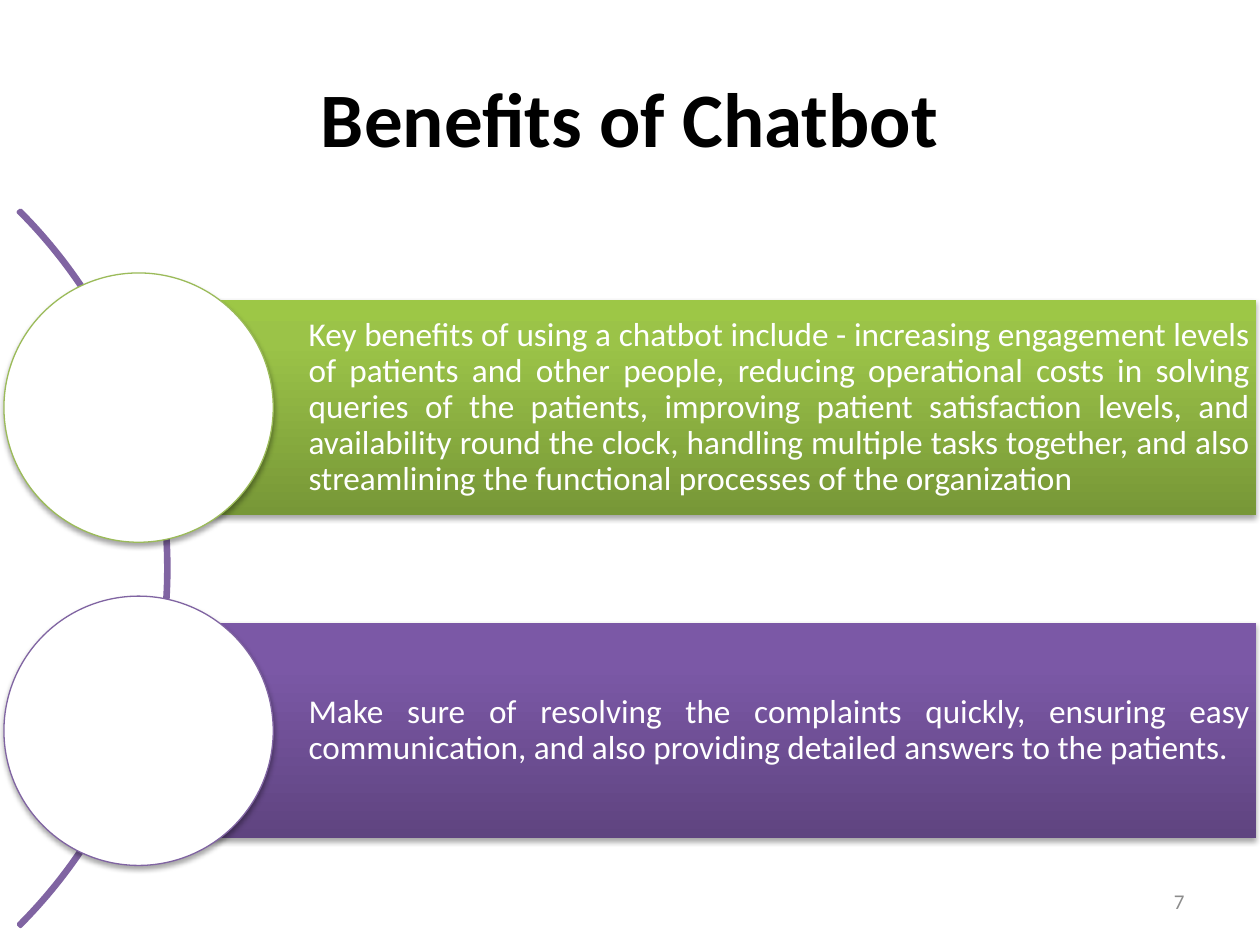
import copy
from dataclasses import dataclass

import pptx
import pptx.dml.color
import pptx.enum.shapes
import pptx.enum.text
import pptx.oxml
import pptx.oxml.ns
import pptx.util

RGBColor = pptx.dml.color.RGBColor
MSO_SHAPE = pptx.enum.shapes.MSO_SHAPE
PP_ALIGN = pptx.enum.text.PP_ALIGN
MSO_ANCHOR = pptx.enum.text.MSO_ANCHOR
Pt = pptx.util.Pt

BLACK = RGBColor(0x00, 0x00, 0x00)
WHITE = RGBColor(0xFF, 0xFF, 0xFF)
GREY = RGBColor(0x8C, 0x8C, 0x8C)
GREEN = RGBColor(0x9B, 0xBB, 0x59)
PURPLE = RGBColor(0x80, 0x64, 0xA2)
GREEN_SHADES = (
    RGBColor(0x77, 0x97, 0x37),
    RGBColor(0x9B, 0xC3, 0x48),
    RGBColor(0x9D, 0xC7, 0x46),
)
PURPLE_SHADES = (
    RGBColor(0x5F, 0x44, 0x80),
    RGBColor(0x7B, 0x58, 0xA6),
    RGBColor(0x7C, 0x57, 0xA8),
)
SHADE_POSITIONS = (0, 0.8, 1)

FONT = "Calibri"
SLIDE_WIDTH = pptx.util.Inches(10)
SLIDE_HEIGHT = pptx.util.Inches(7.5)
COLUMNS, ROWS = 100, 75

BAND_LEFT, BAND_TOP = 11, 23.8
BAND_WIDTH, BAND_HEIGHT = 88.7, 17.1
BAND_PITCH = 1.5 * BAND_HEIGHT
CIRCLE_SIZE = 1.25 * BAND_HEIGHT
ARC_SIZE = 80.4


@dataclass(frozen=True)
class Area:
    column: float
    row: float
    width: float
    height: float

    def lengths(self) -> tuple[int, int, int, int]:
        return (
            across(self.column),
            down(self.row),
            across(self.width),
            down(self.height),
        )


@dataclass(frozen=True)
class Benefit:
    text: str
    outline: RGBColor
    shades: tuple[RGBColor, ...]


BENEFITS = (
    Benefit(
        "Key benefits of using a chatbot include - increasing engagement levels "
        "of patients and other people, reducing operational costs in solving "
        "queries of the patients, improving patient satisfaction levels, and "
        "availability round the clock, handling multiple tasks together, and "
        "also streamlining the functional processes of the organization",
        GREEN,
        GREEN_SHADES,
    ),
    Benefit(
        "Make sure of resolving the complaints quickly, ensuring easy "
        "communication, and also providing detailed answers to the patients.",
        PURPLE,
        PURPLE_SHADES,
    ),
)


def across(columns: float) -> int:
    return round(SLIDE_WIDTH * columns / COLUMNS)


def down(rows: float) -> int:
    return round(SLIDE_HEIGHT * rows / ROWS)


def write(shape, text: str, size: float, color: RGBColor, align, bold=False):
    frame = shape.text_frame
    frame.word_wrap = True
    frame.vertical_anchor = MSO_ANCHOR.MIDDLE
    paragraph = frame.paragraphs[0]
    paragraph.text = text
    paragraph.alignment = align
    font = paragraph.font
    font.name, font.size, font.bold = FONT, Pt(size), bold
    font.color.rgb = color
    return paragraph


def cast_shadow(shape) -> None:
    shape.shadow.inherit = False
    effects = shape._element.spPr.find(pptx.oxml.ns.qn("a:effectLst"))
    effects.append(pptx.oxml.parse_xml(
        f'<a:outerShdw {pptx.oxml.ns.nsdecls("a")} blurRad="{Pt(3.1)}" '
        f'dist="{Pt(1.8)}" dir="5400000" rotWithShape="0">'
        '<a:srgbClr val="000000"><a:alpha val="35000"/></a:srgbClr>'
        "</a:outerShdw>"
    ))


def shade(shape, colors: tuple[RGBColor, ...]) -> None:
    shape.fill.gradient()
    stop_list = next(shape._element.spPr.iter(pptx.oxml.ns.qn("a:gsLst")))
    stop_list.insert(1, copy.deepcopy(stop_list[0]))
    for stop, color, position in zip(
        shape.fill.gradient_stops, colors, SHADE_POSITIONS
    ):
        stop.color.rgb = color
        stop.position = position
    shape.fill.gradient_angle = 90


def draw_arc(shapes) -> None:
    area = Area(-67, 4.9, ARC_SIZE, ARC_SIZE)
    arc = shapes.add_shape(MSO_SHAPE.BLOCK_ARC, *area.lengths())
    for index, value in enumerate((189, 27, 0.003)):
        arc.adjustments[index] = value
    arc.fill.background()
    arc.line.color.rgb = PURPLE
    arc.line.width = Pt(2)
    arc.shadow.inherit = False


def draw_benefit(shapes, benefit: Benefit, top: float) -> None:
    band_area = Area(BAND_LEFT, top, BAND_WIDTH, BAND_HEIGHT)
    band = shapes.add_shape(MSO_SHAPE.RECTANGLE, *band_area.lengths())
    shade(band, benefit.shades)
    band.line.fill.background()
    cast_shadow(band)
    paragraph = write(band, benefit.text, 19, WHITE, PP_ALIGN.JUSTIFY)
    paragraph.line_spacing = 0.9
    paragraph.space_after = Pt(6.65)
    frame = band.text_frame
    frame.margin_left = across(13.5)
    frame.margin_right = across(0.5)
    frame.margin_top = frame.margin_bottom = down(0.5)

    circle_area = Area(
        BAND_LEFT - CIRCLE_SIZE / 2,
        top + (BAND_HEIGHT - CIRCLE_SIZE) / 2,
        CIRCLE_SIZE,
        CIRCLE_SIZE,
    )
    circle = shapes.add_shape(MSO_SHAPE.OVAL, *circle_area.lengths())
    circle.fill.solid()
    circle.fill.fore_color.rgb = WHITE
    circle.line.color.rgb = benefit.outline
    circle.line.width = Pt(0.75)
    cast_shadow(circle)


def main() -> None:
    deck = pptx.Presentation()
    deck.slide_width, deck.slide_height = SLIDE_WIDTH, SLIDE_HEIGHT
    slide = deck.slides.add_slide(deck.slide_layouts.get_by_name("Title Only"))
    shapes = slide.shapes

    title = shapes.title
    title.left, title.top, title.width, title.height = Area(5, 3, 90, 12.5).lengths()
    write(title, "Benefits of Chatbot", 44, BLACK, PP_ALIGN.CENTER, bold=True)

    draw_arc(shapes)
    for index, benefit in enumerate(BENEFITS):
        draw_benefit(shapes, benefit, BAND_TOP + index * BAND_PITCH)

    page_number = shapes.add_textbox(*Area(71.7, 69.5, 23.3, 4).lengths())
    write(page_number, "7", 12, GREY, PP_ALIGN.RIGHT)

    deck.save("out.pptx")


if __name__ == "__main__":
    main()
